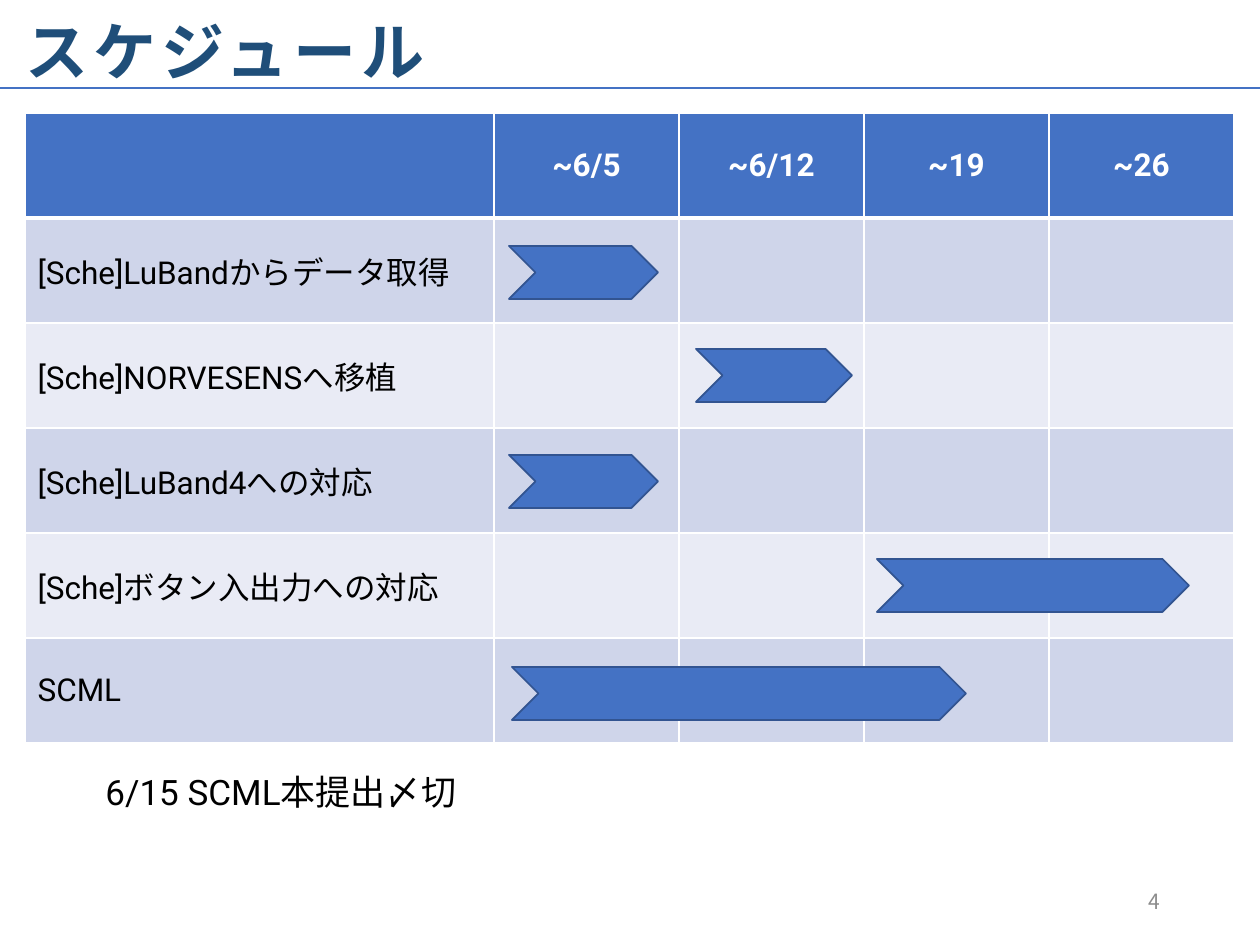
from dataclasses import dataclass

from lxml import etree
from pptx import Presentation
from pptx.dml.color import RGBColor
from pptx.enum.shapes import MSO_CONNECTOR, MSO_SHAPE
from pptx.enum.text import MSO_ANCHOR, PP_ALIGN
from pptx.oxml.ns import qn
from pptx.util import Emu, Pt

CHEVRON = MSO_SHAPE.CHEVRON
STRAIGHT = MSO_CONNECTOR.STRAIGHT
TOP, MIDDLE = MSO_ANCHOR.TOP, MSO_ANCHOR.MIDDLE
LEFT, CENTER, RIGHT = PP_ALIGN.LEFT, PP_ALIGN.CENTER, PP_ALIGN.RIGHT

PIXELS_PER_INCH = 126
LATIN, JAPANESE = "Roboto", "Noto Sans CJK JP"
BLUE, OUTLINE, NAVY = "4472C4", "325491", "1F4E79"
BANDS = ("CFD5EA", "E9EBF5")
WHITE, BLACK, GRAY = "FFFFFF", "000000", "8C8C8C"

LABEL_WIDTH, WEEK_WIDTH, ROW_HEIGHT = 469, 185, 105
TABLE_LEFT, TABLE_TOP, BAR_HEIGHT = 25, 113, 53


@dataclass(frozen=True)
class Task:
    """One schedule row and its bar."""
    label: str
    left: int
    top: int
    width: int


WEEKS = ("~6/5", "~6/12", "~19", "~26")
TASKS = (
    Task("[Sche]LuBandからデータ取得", 509, 246, 149),
    Task("[Sche]NORVESENSへ移植", 696, 349, 156),
    Task("[Sche]LuBand4への対応", 509, 455, 149),
    Task("[Sche]ボタン入出力への対応", 877, 559, 312),
    Task("SCML", 512, 667, 454),
)


def px(length: int) -> Emu:
    """Turn pixels into EMU."""
    return Emu(round(length * 914400 / PIXELS_PER_INCH))


def color(value: str) -> RGBColor:
    """Turn a hex string into a colour."""
    return RGBColor.from_string(value)


def write(frame, text: str, *, size: int, fill: str = BLACK, bold: bool = False,
          align=LEFT, spacing: float = 1.0, tracking: int = 0,
          font: str = LATIN) -> None:
    """Write one formatted paragraph into a text frame."""
    para = frame.paragraphs[0]
    para.alignment = align
    para.line_spacing = spacing
    span = para.add_run()
    span.text = text
    span.font.size = Pt(size)
    span.font.bold = bold
    span.font.name = font
    span.font.color.rgb = color(fill)
    properties = span.font._element
    etree.SubElement(properties, qn("a:ea")).set("typeface", JAPANESE)
    if tracking:
        properties.set("spc", str(tracking * 100))


def add_text(page, text: str, left: int, top: int, width: int, height: int,
             *, anchor=MIDDLE, **style) -> None:
    """Add a wrapped text box."""
    box = page.shapes.add_textbox(px(left), px(top), px(width), px(height))
    box.text_frame.word_wrap = True
    box.text_frame.vertical_anchor = anchor
    write(box.text_frame, text, **style)


def add_rule(page, top: int) -> None:
    """Draw the line across the page under the title."""
    rule = page.shapes.add_connector(STRAIGHT, 0, px(top), px(1260), px(top))
    rule.line.color.rgb = color(BLUE)
    rule.line.width = Pt(1.5)
    etree.SubElement(rule._element.spPr, qn("a:effectLst"))


def style_cell(cell, fill: str, *, top: int = 1, bottom: int = 1) -> None:
    """Give a cell white borders and a fill."""
    properties = cell._tc.get_or_add_tcPr()
    for side, width in (("L", 1), ("R", 1), ("T", top), ("B", bottom)):
        border = etree.SubElement(properties, qn(f"a:ln{side}"), w=str(Pt(width)))
        solid = etree.SubElement(border, qn("a:solidFill"))
        etree.SubElement(solid, qn("a:srgbClr"), val=WHITE)
    cell.fill.solid()
    cell.fill.fore_color.rgb = color(fill)
    cell.vertical_anchor = MIDDLE


def add_schedule(page) -> None:
    """Add the table of tasks by week."""
    rows = [("", *WEEKS)] + [(task.label,) + ("",) * len(WEEKS) for task in TASKS]
    widths = [LABEL_WIDTH] + [WEEK_WIDTH] * len(WEEKS)
    table = page.shapes.add_table(
        len(rows), len(widths), px(TABLE_LEFT), px(TABLE_TOP),
        px(sum(widths)), px(ROW_HEIGHT * len(rows))).table
    for column, width in zip(table.columns, widths):
        column.width = px(width)
    for r, texts in enumerate(rows):
        table.rows[r].height = px(ROW_HEIGHT)
        header = r == 0
        for c, text in enumerate(texts):
            cell = table.cell(r, c)
            style_cell(cell, BLUE if header else BANDS[(r - 1) % 2],
                       top=3 if r == 1 else 1, bottom=3 if header else 1)
            if text:
                write(cell.text_frame, text, size=18, bold=header,
                      fill=WHITE if header else BLACK,
                      align=CENTER if header else LEFT)


def add_bar(page, task: Task) -> None:
    """Draw the chevron that shows when a task runs."""
    bar = page.shapes.add_shape(CHEVRON, px(task.left), px(task.top),
                                px(task.width), px(BAR_HEIGHT))
    bar.shadow.inherit = False
    bar.fill.solid()
    bar.fill.fore_color.rgb = color(BLUE)
    bar.line.color.rgb = color(OUTLINE)
    bar.line.width = Pt(1)


def main() -> None:
    """Build and save the slide."""
    deck = Presentation()
    deck.slide_width, deck.slide_height = px(1260), px(945)
    page = deck.slides.add_slide(deck.slide_layouts[6])
    add_rule(page, 88)
    add_text(page, "スケジュール", 13, 21, 1086, 69, size=36, fill=NAVY,
             bold=True, spacing=0.9, tracking=3)
    add_schedule(page)
    for task in TASKS:
        add_bar(page, task)
    add_text(page, "6/15 SCML本提出〆切", 93, 743, 377, 71, anchor=TOP,
             size=20, spacing=1.5)
    add_text(page, "4", 890, 876, 283, 50, size=12, fill=GRAY, align=RIGHT,
             font=JAPANESE)
    deck.save("out.pptx")


main()
